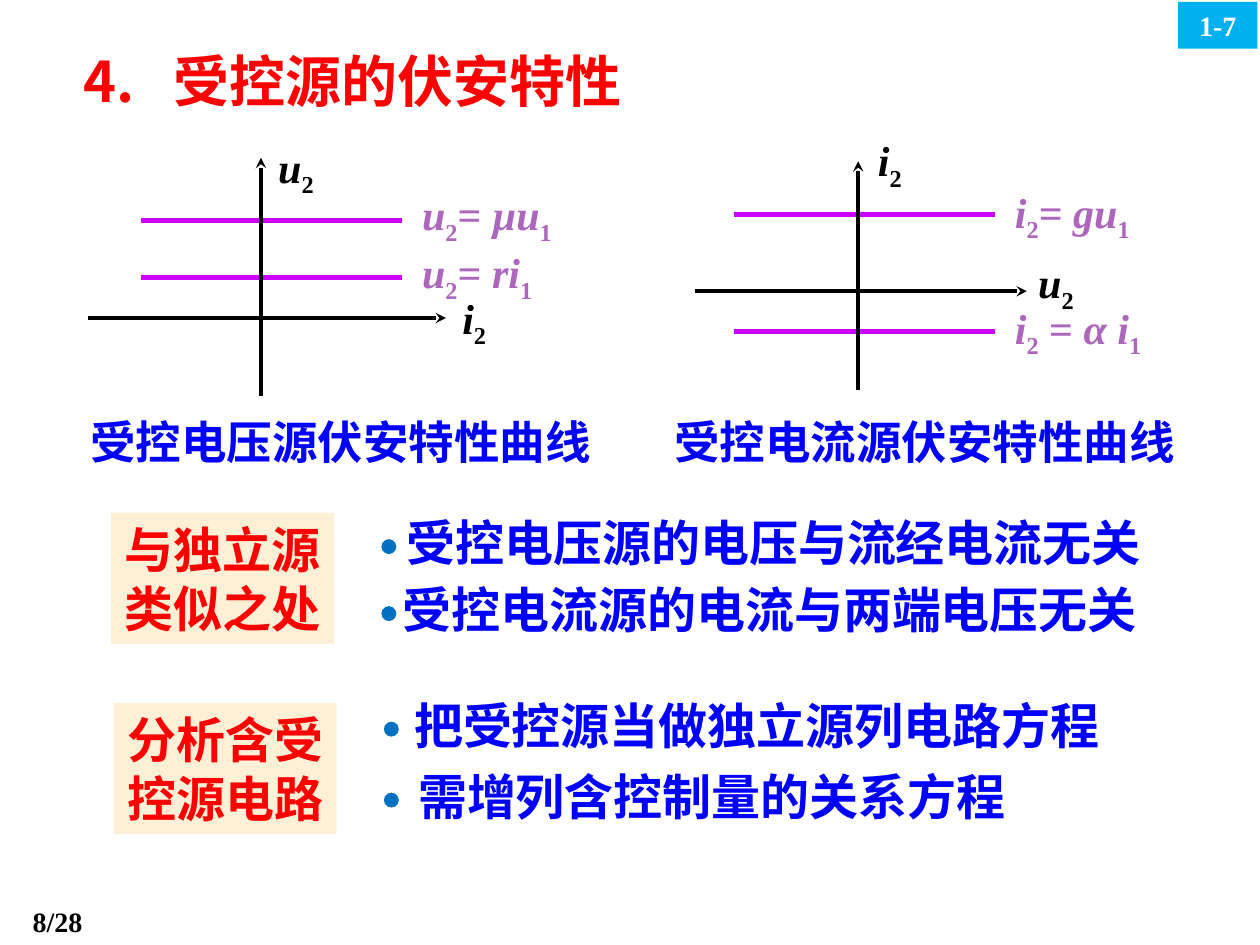
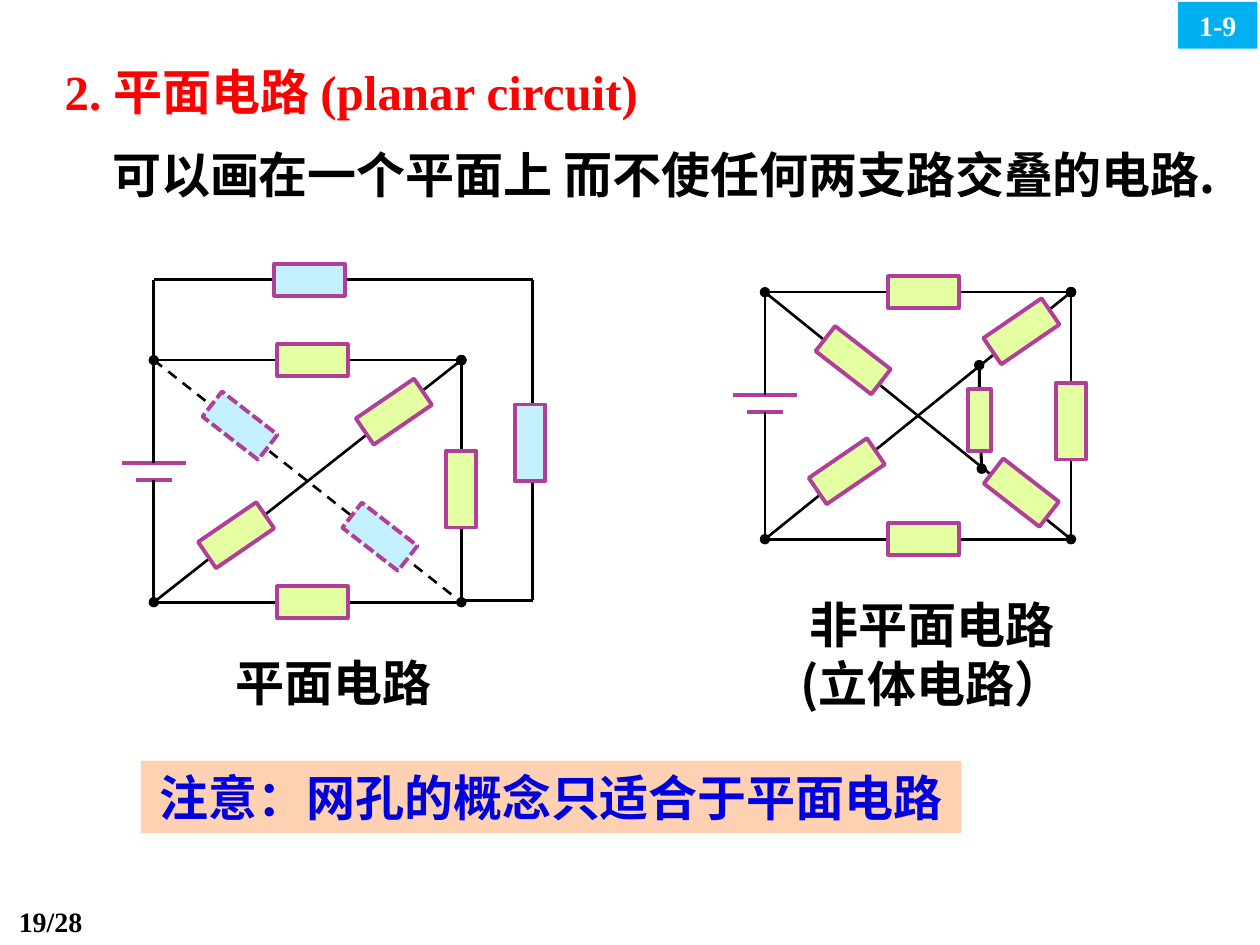
from itertools import groupby, pairwise

from lxml import etree
from pptx import Presentation
from pptx.dml.color import RGBColor
from pptx.enum.dml import MSO_LINE
from pptx.enum.shapes import MSO_CONNECTOR, MSO_SHAPE
from pptx.enum.text import MSO_ANCHOR, PP_ALIGN
from pptx.oxml.ns import qn
from pptx.util import Cm, Pt

STRAIGHT = MSO_CONNECTOR.STRAIGHT
RECTANGLE, OVAL = MSO_SHAPE.RECTANGLE, MSO_SHAPE.OVAL
DASH, SHORT_DASH = MSO_LINE.DASH, MSO_LINE.SQUARE_DOT
LEFT, CENTER, RIGHT = PP_ALIGN.LEFT, PP_ALIGN.CENTER, PP_ALIGN.RIGHT
TOP, MIDDLE = MSO_ANCHOR.TOP, MSO_ANCHOR.MIDDLE
SANS, SERIF = "Noto Sans CJK SC", "Times New Roman"
COLORS = {
    "black": "000000", "white": "FFFFFF", "red": "FF0000", "blue": "0000FF",
    "curve": "CC00FF", "formula": "AC66BB", "cream": "FEF0D7", "dot": "0070C0",
    "badge": "00B0F0", "outline": "B13F9A", "green": "E5FFA3", "cyan": "C5F0FF",
    "note": "FDD1B1", "note_text": "0000DE",
}
PAGE_COUNT = 28
RISING, FALLING = 55.6, 307.8
RESISTOR = (0.64, 1.42)


def rgb(name):
    """Return the named colour."""
    return RGBColor.from_string(COLORS[name])


def format_paragraph(paragraph, size, color, font=SANS, align=LEFT):
    """Give a paragraph its bold font, colour and alignment."""
    paragraph.alignment = align
    paragraph.font.size = Pt(size)
    paragraph.font.bold = True
    paragraph.font.color.rgb = rgb(color)
    paragraph.font.name = font
    properties = paragraph.font._element
    etree.SubElement(properties, qn("a:ea")).set("typeface", SANS)


def write(frame, text, size, color, font=SANS, align=LEFT):
    """Fill a text frame with one paragraph per line of text."""
    frame.word_wrap = True
    for index, line in enumerate(text.split("\n")):
        paragraph = frame.add_paragraph() if index else frame.paragraphs[0]
        paragraph.text = line
        format_paragraph(paragraph, size, color, font, align)


def add_text(slide, box, text, size, color, font=SANS, align=LEFT):
    """Place a text box."""
    shape = slide.shapes.add_textbox(*map(Cm, box))
    write(shape.text_frame, text, size, color, font, align)


def character_kind(character):
    """Tell subscript digits and italic letters from plain signs."""
    if character.isdigit():
        return "subscript"
    return "italic" if character.isalpha() else "plain"


def add_formula(slide, left, top, formula, color):
    """Place a formula with italic letters and lowered digits."""
    shape = slide.shapes.add_textbox(Cm(left), Cm(top), Cm(3.73), Cm(1.27))
    shape.text_frame.word_wrap = True
    paragraph = shape.text_frame.paragraphs[0]
    format_paragraph(paragraph, 24, color, SERIF)
    for kind, characters in groupby(formula, character_kind):
        run = paragraph.add_run()
        run.text = "".join(characters)
        run.font.italic = kind == "italic"
        if kind == "subscript":
            run._r.get_or_add_rPr().set("baseline", "-25000")


def add_shape(slide, kind, box, fill, outline=None):
    """Place a filled shape, with an outline if one is named."""
    shape = slide.shapes.add_shape(kind, *map(Cm, box))
    shape.shadow.inherit = False
    shape.fill.solid()
    shape.fill.fore_color.rgb = rgb(fill)
    if outline:
        shape.line.color.rgb = rgb(outline)
        shape.line.width = Pt(2.25)
    else:
        shape.line.fill.background()
    return shape


def add_panel(slide, box, fill, text, size, color, font=SANS):
    """Place a filled rectangle with centred text."""
    frame = add_shape(slide, RECTANGLE, box, fill).text_frame
    frame.margin_left = frame.margin_right = 0
    frame.vertical_anchor = MIDDLE
    write(frame, text, size, color, font, CENTER)


def add_line(slide, start, end, color="black", width=1.5, head=None, tail=None, dash=None):
    """Draw a straight line with optional ends and dashes."""
    connector = slide.shapes.add_connector(STRAIGHT, *map(Cm, (*start, *end)))
    etree.SubElement(connector._element.spPr, qn("a:effectLst"))
    connector.line.color.rgb = rgb(color)
    connector.line.width = Pt(width)
    if dash:
        connector.line.dash_style = dash
    line = connector.line._get_or_add_ln()
    for tag, kind in (("a:headEnd", head), ("a:tailEnd", tail)):
        if kind:
            etree.SubElement(line, qn(tag)).set("type", kind)


def add_page(presentation, title, box, size, font, section, number, indent=0):
    """Add a slide with its title, section badge and page number."""
    slide = presentation.slides.add_slide(presentation.slide_layouts[5])
    shape = slide.shapes.title
    shape.left, shape.top, shape.width, shape.height = map(Cm, box)
    shape.text_frame.vertical_anchor = TOP
    write(shape.text_frame, title, size, "red", font)
    if indent:
        properties = shape.text_frame.paragraphs[0]._p.get_or_add_pPr()
        properties.set("marL", str(Cm(indent)))
        properties.set("indent", str(-Cm(indent)))
    add_panel(slide, (23.75, 0.04, 1.6, 0.94), "badge", section, 16, "white", SERIF)
    add_text(slide, (0, 18.11, 1.91, 0.94), f"{number}/{PAGE_COUNT}", 16, "black", SERIF, RIGHT)
    return slide


def add_graph(slide, box, origin, curve_left, curves, axis_labels, caption):
    """Draw axes, level curves with formulas, and a caption."""
    left, top, width, height = box
    origin_x, origin_y = left + origin[0], top + origin[1]
    start = left + curve_left
    for formula, level, label_top in curves:
        add_line(slide, (start, top + level), (start + 5.27, top + level), "curve", 3)
        add_formula(slide, start + 5.42, top + label_top, formula, "formula")
    add_line(slide, (left, origin_y), (left + width, origin_y), width=2, tail="stealth")
    add_line(slide, (origin_x, top + height), (origin_x, top), width=2, tail="stealth")
    for label, label_left, label_top in axis_labels:
        add_formula(slide, left + label_left, top + label_top, label, "black")
    text, caption_left = caption
    add_text(slide, (left + caption_left, 8.23, 11.9, 1.37), text, 26, "blue")


def add_points(slide, left, top, label, points):
    """Place a label panel with dotted points to its right."""
    add_panel(slide, (left, top, 4.5, 2.64), "cream", label, 28, "red")
    for text, text_left, text_top in points:
        dot_box = (left + 5.45, top + text_top + 0.66, 0.3, 0.3)
        add_shape(slide, OVAL, dot_box, "dot")
        add_text(slide, (left + text_left, top + text_top, 16.2, 1.45), text, 28, "blue")


def add_resistor(slide, center, size=RESISTOR, fill="green", rotation=0, dash=None):
    """Place a resistor around its centre."""
    width, height = size
    box = (center[0] - width / 2, center[1] - height / 2, width, height)
    shape = add_shape(slide, RECTANGLE, box, fill, "outline")
    shape.rotation = rotation
    if dash:
        shape.line.dash_style = dash


def add_square_circuit(slide, box, rising, falling, falling_fill="green", wire_dash=None, resistor_dash=None):
    """Draw a square circuit with a battery and two diagonals."""
    left, top, width, height = box
    right, bottom = left + width, top + height
    plates = top + 2.08, top + 2.41
    for y, half in zip(plates, (0.65, 0.36)):
        add_line(slide, (left - half, y), (left + half, y), "outline", 2.25)
    add_line(slide, (left, plates[0]), (left, top))
    add_line(slide, (left, plates[1]), (left, bottom))
    add_line(slide, (left, bottom), (right, bottom))
    for start, end in (
        ((left, top), (right, top)),
        ((right, top), (right, bottom)),
        ((left, bottom), (right, top)),
    ):
        add_line(slide, start, end, head="oval", tail="oval")
    add_line(slide, (left, top), (right, bottom), dash=wire_dash)
    for y in (top, bottom):
        add_resistor(slide, (left + 3.2, y), RESISTOR[::-1])
    add_resistor(slide, (right, top + 2.6), (0.61, 1.55))
    for x, y in rising:
        add_resistor(slide, (left + x, top + y), rotation=RISING)
    for x, y in falling:
        center = (left + x, top + y)
        add_resistor(slide, center, fill=falling_fill, rotation=FALLING, dash=resistor_dash)


def add_planar_circuit(slide, box):
    """Draw the planar circuit with its outer loop."""
    left, top, width, height = box
    add_square_circuit(
        slide, box, [(1.66, 3.53), (4.84, 1.04)], [(1.74, 1.32), (4.56, 3.56)],
        "cyan", DASH, SHORT_DASH,
    )
    loop_top, loop_right, loop_bottom = top - 1.62, left + 7.64, top + height - 0.04
    corners = [
        (left, top), (left, loop_top), (loop_right, loop_top),
        (loop_right, loop_bottom), (left + width, loop_bottom),
    ]
    for start, end in pairwise(corners):
        add_line(slide, start, end)
    add_resistor(slide, (left + 3.14, loop_top), RESISTOR[::-1], "cyan")
    add_resistor(slide, (loop_right - 0.05, top + 1.67), (0.61, 1.55), "cyan")
    add_text(slide, (left + 0.87, top + 5.77, 5.52, 1.45), "平面电路", 28, "black", align=CENTER)


def add_nonplanar_circuit(slide, box):
    """Draw the non-planar circuit with its bridge."""
    left, top = box[:2]
    add_square_circuit(
        slide, box, [(1.65, 3.61), (5.17, 0.79)], [(1.78, 1.37), (5.17, 4.04)]
    )
    bridge = (left + 4.33, top + 2.58)
    for x, y in ((4.32, 1.47), (4.37, 3.56)):
        add_line(slide, bridge, (left + x, top + y), width=1.75, tail="oval")
    add_resistor(slide, bridge, (0.46, 1.24))
    caption_box = (left + 0.1, top + 5.97, 6.53, 2.64)
    add_text(slide, caption_box, "非平面电路\n(立体电路）", 28, "black", align=CENTER)


def build_characteristics(presentation):
    """Build the slide on controlled source characteristics."""
    slide = add_page(
        presentation, "4.\t受控源的伏安特性", (1.42, 0.81, 14, 1.63), 32, SANS, "1-7", 8, 1.83
    )
    add_graph(
        slide, (1.78, 3.18, 7.21, 4.8), (3.48, 3.23), 1.06,
        [("u2= µu1", 1.27, 0.5), ("u2= ri1", 2.41, 1.67)],
        [("u2", 3.58, -0.46), ("i2", 7.29, 2.59)],
        ("受控电压源伏安特性曲线", -0.21),
    )
    add_graph(
        slide, (14.02, 3.25, 6.68, 4.62), (3.28, 2.62), 0.77,
        [("i2= gu1", 1.07, 0.38), ("i2 = α i1", 3.43, 2.72)],
        [("i2", 3.43, -0.66), ("u2", 6.66, 1.8)],
        ("受控电流源伏安特性曲线", -0.68),
    )
    add_points(slide, 2.24, 10.34, "与独立源\n类似之处", [
        ("受控电压源的电压与流经电流无关", 5.71, -0.13),
        ("受控电流源的电流与两端电压无关", 5.63, 1.22),
    ])
    add_points(slide, 2.29, 14.17, "分析含受\n控源电路", [
        ("把受控源当做独立源列电路方程", 5.81, -0.28),
        ("需增列含控制量的关系方程", 5.89, 1.15),
    ])


def build_planar(presentation):
    """Build the slide on planar circuits."""
    slide = add_page(
        presentation, "2. 平面电路 (planar circuit)", (1.05, 1.12, 16, 1.45), 28, SERIF, "1-9", 19
    )
    definition = "可以画在一个平面上 而不使任何两支路交叠的电路."
    add_text(slide, (1.7, 2.79, 23.37, 1.45), definition, 28, "black", align=CENTER)
    add_planar_circuit(slide, (3.1, 7.26, 6.2, 4.88))
    add_nonplanar_circuit(slide, (15.42, 5.89, 6.17, 4.98))
    note = "注意：网孔的概念只适合于平面电路"
    add_panel(slide, (2.84, 15.34, 16.54, 1.45), "note", note, 28, "note_text")


def main():
    """Build and save the presentation."""
    presentation = Presentation()
    presentation.slide_width, presentation.slide_height = Cm(25.4), Cm(19.05)
    build_characteristics(presentation)
    build_planar(presentation)
    presentation.save("out.pptx")


if __name__ == "__main__":
    main()
